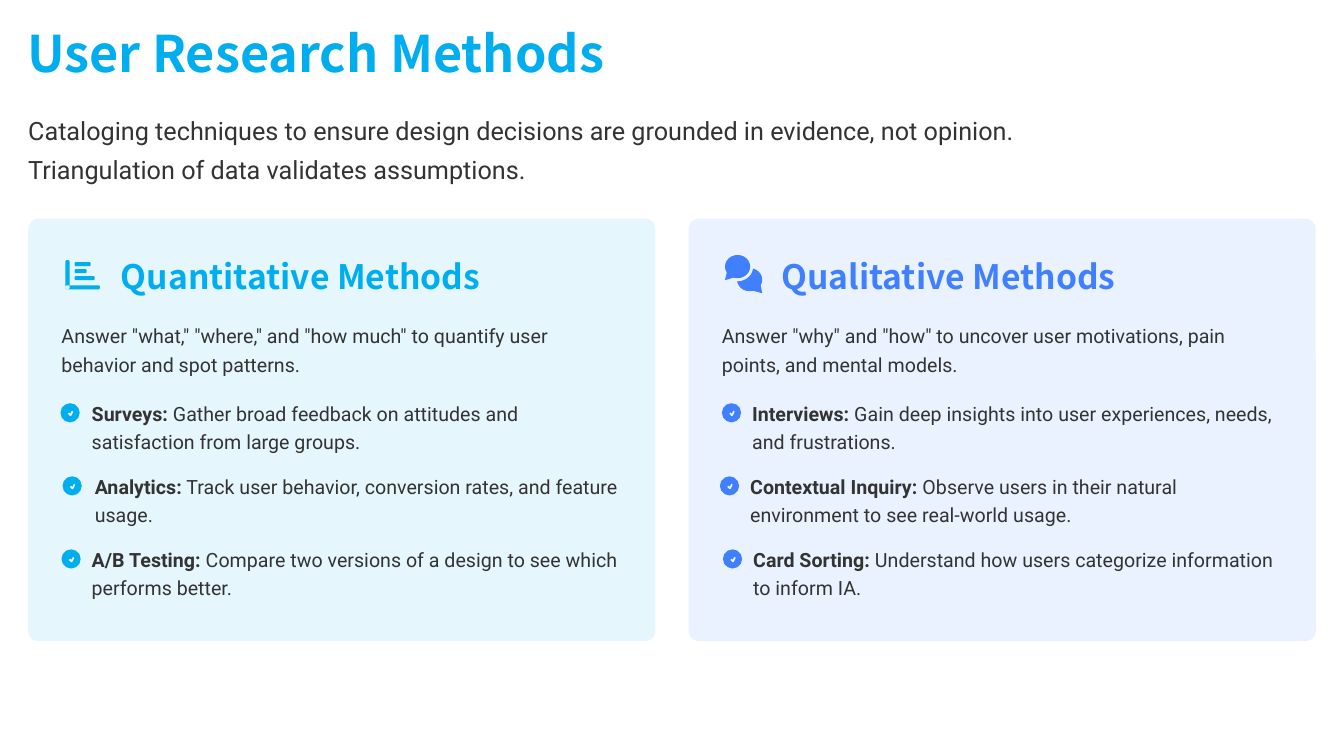
"""Build the User Research Methods slide with two method cards."""
from lxml.etree import SubElement
from pptx import Presentation
from pptx.dml.color import RGBColor
from pptx.enum.shapes import MSO_SHAPE
from pptx.enum.text import MSO_ANCHOR, MSO_AUTO_SIZE, PP_ALIGN
from pptx.oxml.ns import qn
from pptx.util import Inches, Pt

TITLE = "User Research Methods"
INTRO = ("Cataloging techniques to ensure design decisions are grounded in evidence, "
         "not opinion. Triangulation of data validates assumptions.")
CARDS = [
    {"heading": "Quantitative Methods", "color": "00AEEF", "tint": "E5F7FD", "icon": "bars",
     "lead": 'Answer "what," "where," and "how much" to quantify user behavior and spot patterns.',
     "items": [
         (0.32, 0.63, "Surveys:", " Gather broad feedback on attitudes and satisfaction from large groups."),
         (0.34, 0.66, "Analytics:", " Track user behavior, conversion rates, and feature usage."),
         (0.33, 0.63, "A/B Testing:", " Compare two versions of a design to see which performs better.")]},
    {"heading": "Qualitative Methods", "color": "4080FF", "tint": "ECF2FF", "icon": "chat",
     "lead": 'Answer "why" and "how" to uncover user motivations, pain points, and mental models.',
     "items": [
         (0.33, 0.63, "Interviews:", " Gain deep insights into user experiences, needs, and frustrations."),
         (0.31, 0.61, "Contextual Inquiry:", " Observe users in their natural environment to see real-world usage."),
         (0.34, 0.64, "Card Sorting:", " Understand how users categorize information to inform IA.")]},
]
DARK, HEAD_FONT, BODY_FONT = "333333", "Noto Sans CJK SC", "Roboto"
LEFT, CARD_TOP, CARD_W, CARD_H, CARD_PITCH = 0.28, 2.17, 6.22, 4.19, 6.55
PAD, ITEM_TOP, ITEM_PITCH, TEXT_H = 0.33, 1.77, 0.725, 0.56
CHECK = 0.19
BARS = [(0.37, 0.41, 0.04, 0.29), (0.37, 0.66, 0.34, 0.04), (0.46, 0.43, 0.16, 0.04),
        (0.46, 0.5, 0.12, 0.04), (0.46, 0.57, 0.2, 0.04)]
BAR_CUT = 0.01
BUBBLE_W, BUBBLE_H, BUBBLE_GAP = 0.25, 0.23, 0.03
BACK_BUBBLE, FRONT_BUBBLE = (0.48, 0.49), (0.36, 0.36)
BACK_TAIL = [(0.71, 0.64), (0.73, 0.74), (0.62, 0.71)]
FRONT_TAIL = [(0.38, 0.53), (0.36, 0.61), (0.46, 0.58)]
TICK = [(0.08, 0.1), (0.1, 0.12), (0.12, 0.08)]

prs = Presentation()
prs.slide_width, prs.slide_height = Inches(13.33), Inches(7.5)
slide = prs.slides.add_slide(prs.slide_layouts[5])


def rgb(color):
    """Turn a hex string into a colour."""
    return RGBColor.from_string(color)


def write(sp, box, runs, size, color, font, spacing, bold=None):
    """Place a text shape and fill it with one paragraph of (text, bold) runs."""
    sp.left, sp.top, sp.width, sp.height = (Inches(v) for v in box)
    tf = sp.text_frame
    tf.word_wrap, tf.auto_size, tf.vertical_anchor = True, MSO_AUTO_SIZE.NONE, MSO_ANCHOR.MIDDLE
    tf.margin_left = tf.margin_top = tf.margin_right = tf.margin_bottom = 0
    p = tf.paragraphs[0]
    p.alignment, p.line_spacing = PP_ALIGN.LEFT, spacing
    p.font.size, p.font.name, p.font.bold = Pt(size), font, bold
    p.font.color.rgb = rgb(color)
    for text, strong in runs:
        r = p.add_run()
        r.text = text
        if strong:
            r.font.bold = True


def add_text(x, y, w, h, *style, **options):
    """Add a text box."""
    write(slide.shapes.add_textbox(0, 0, 0, 0), (x, y, w, h), *style, **options)


def paint(sp, color):
    """Give a shape a plain fill without outline or shadow."""
    sp.shadow.inherit = False
    sp.fill.solid()
    sp.fill.fore_color.rgb = rgb(color)
    sp.line.fill.background()


def add_solid(kind, x, y, w, h, color, radius=None, alpha=None):
    """Add a filled preset shape."""
    sp = slide.shapes.add_shape(kind, *(Inches(v) for v in (x, y, w, h)))
    paint(sp, color)
    if radius is not None:
        sp.adjustments[0] = radius
    if alpha is not None:
        clr = sp.fill._xPr.find(qn("a:solidFill"))[0]
        SubElement(clr, qn("a:alpha"), val=str(alpha * 1000))


def add_outline(contours, x, y, closed=True):
    """Add one freeform from contours offset from x, y."""
    placed = [[(Inches(x + px), Inches(y + py)) for px, py in c] for c in contours]
    builder = slide.shapes.build_freeform(*placed[0][0])
    for i, pts in enumerate(placed):
        if i:
            builder.move_to(*pts[0])
        builder.add_line_segments(pts[1:], close=closed)
    return builder.convert_to_shape()


def bar_contour(x, y, w, h, c=BAR_CUT):
    """Return a bar with cut corners."""
    r, b = x + w, y + h
    return [(x + c, y), (r - c, y), (r, y + c), (r, b - c),
            (r - c, b), (x + c, b), (x, b - c), (x, y + c)]


def add_bars(x, y, card):
    """Draw the bar chart icon."""
    paint(add_outline([bar_contour(*bar) for bar in BARS], x, y), card["color"])


def add_chat(x, y, card):
    """Draw the two speech bubbles."""
    (bx, by), (fx, fy), gap = BACK_BUBBLE, FRONT_BUBBLE, BUBBLE_GAP
    add_solid(MSO_SHAPE.OVAL, x + bx, y + by, BUBBLE_W, BUBBLE_H, card["color"])
    paint(add_outline([BACK_TAIL], x, y), card["color"])
    add_solid(MSO_SHAPE.OVAL, x + fx - gap, y + fy - gap,
              BUBBLE_W + 2 * gap, BUBBLE_H + 2 * gap, card["tint"])
    add_solid(MSO_SHAPE.OVAL, x + fx, y + fy, BUBBLE_W, BUBBLE_H, card["color"])
    paint(add_outline([FRONT_TAIL], x, y), card["color"])


def add_check(x, y, card):
    """Draw a round check mark."""
    add_solid(MSO_SHAPE.OVAL, x, y, CHECK, CHECK, card["color"])
    sp = add_outline([TICK], x, y, closed=False)
    sp.shadow.inherit = False
    sp.fill.background()
    sp.line.color.rgb = rgb(card["tint"])
    sp.line.width = Pt(1.25)


def add_card(x, y, card):
    """Draw one card with heading, lead and checked items."""
    add_solid(MSO_SHAPE.ROUNDED_RECTANGLE, x, y, CARD_W, CARD_H, card["color"], 0.024, 10)
    {"bars": add_bars, "chat": add_chat}[card["icon"]](x, y, card)
    add_text(x + 0.92, y + 0.33, CARD_W - 0.92, 0.44, [(card["heading"], False)],
             24, card["color"], HEAD_FONT, 1.1, bold=True)
    add_text(x + PAD, y + 1, CARD_W - 2 * PAD, TEXT_H, [(card["lead"], False)],
             14, DARK, BODY_FONT, 1.2)
    for row, (check_x, text_x, name, detail) in enumerate(card["items"]):
        top = y + ITEM_TOP + row * ITEM_PITCH
        add_check(x + check_x, top + 0.06, card)
        add_text(x + text_x, top, CARD_W - PAD - text_x, TEXT_H,
                 [(name, True), (detail, False)], 14, DARK, BODY_FONT, 1.2)


write(slide.shapes.title, (0.27, 0.28, 12.77, 0.56), [(TITLE, False)],
      36, "00AEEF", HEAD_FONT, 0.9, bold=True)
add_text(LEFT, 1.05, 10.67, 0.78, [(INTRO, False)], 18, DARK, BODY_FONT, 1.3)
for col, card in enumerate(CARDS):
    add_card(LEFT + col * CARD_PITCH, CARD_TOP, card)
prs.save("out.pptx")
